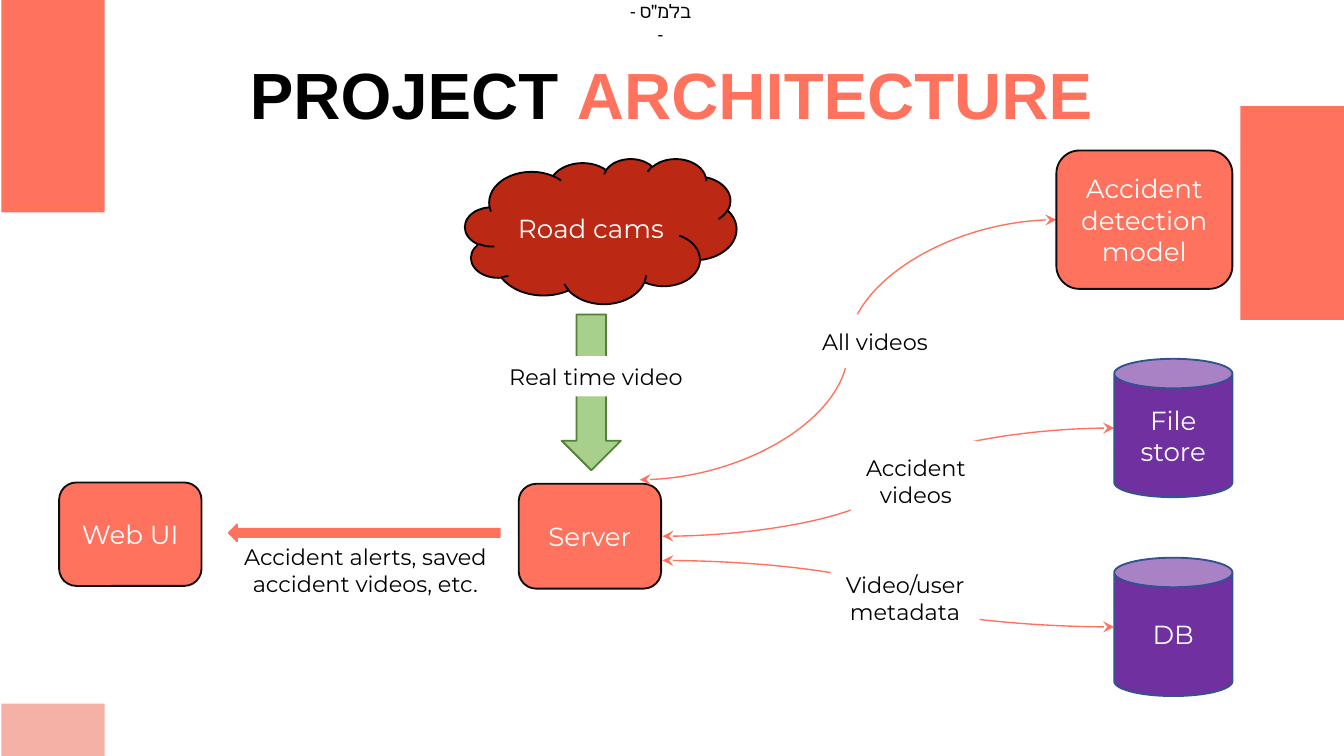
from lxml import etree
from pptx import Presentation
from pptx import util as u
from pptx.dml.color import RGBColor
from pptx.enum import shapes, text
from pptx.oxml.ns import qn

KIND = shapes.MSO_SHAPE
MID = text.MSO_ANCHOR.MIDDLE
TOP = text.MSO_ANCHOR.TOP
CORAL = "FF725E"
WIDE = 10
HIGH = WIDE * 9 / 16


def color(code):
    """Turn a hex string into a colour."""
    return RGBColor.from_string(code)


def write(frame, lines, size, ink, face="Montserrat", anchor=MID, pad=(0.1, 0.05)):
    """Fill a text frame with centred lines in one font."""
    frame.word_wrap = True
    frame.vertical_anchor = anchor
    frame.margin_left = frame.margin_right = u.Inches(pad[0])
    frame.margin_top = frame.margin_bottom = u.Inches(pad[1])
    frame.text = lines
    for para in frame.paragraphs:
        para.alignment = text.PP_ALIGN.CENTER
        para.font.size = u.Pt(size)
        para.font.name = face
        para.font.color.rgb = color(ink)


def shape(slide, kind, box, fill, line=None, width=1):
    """Draw a preset shape in a box."""
    item = slide.shapes.add_shape(kind, *map(u.Inches, box))
    item.shadow.inherit = False
    item.fill.solid()
    item.fill.fore_color.rgb = color(fill)
    if line:
        item.line.color.rgb = color(line)
        item.line.width = u.Pt(width)
    else:
        item.line.fill.background()
    return item


def node(slide, kind, box, label, fill=CORAL, line="0D0D0D"):
    """Draw a labelled part of the system."""
    item = shape(slide, kind, box, fill, line)
    write(item.text_frame, label, 14, "FFFFFF")


def note(slide, box, label, gap=0.05):
    """Draw a white caption that masks what lies behind it."""
    item = shape(slide, KIND.RECTANGLE, box, "FFFFFF")
    write(item.text_frame, label, 12, "000000", anchor=TOP, pad=(0.1, gap))


def link(slide, start, end):
    """Draw a curved arrow with a head at each end."""
    wire = slide.shapes.add_connector(
        shapes.MSO_CONNECTOR.CURVE, *map(u.Inches, (*start, *end)))
    wire.line.color.rgb = color(CORAL)
    wire.line.width = u.Pt(0.75)
    line = wire.line._get_or_add_ln()
    for tag in ("a:headEnd", "a:tailEnd"):
        etree.SubElement(line, qn(tag), type="stealth")
    etree.SubElement(wire._element.spPr, qn("a:effectLst"))


def textbox(slide, box):
    """Add a text box and return its frame."""
    return slide.shapes.add_textbox(*map(u.Inches, box)).text_frame


def decor(slide, x, y, w, h):
    """Place the edge bars and the marking at the top."""
    bar = 0.77
    write(textbox(slide, (x + 4.66, y, 0.51, 0.17)), '- בלמ"ס -', 10,
          "000000", "Calibri", TOP, (0, 0))
    for left, top, tall, fill in (
            (0.01, -0.01, 1.59, CORAL),
            (w - bar, 0.79, 1.59, CORAL),
            (0.01, h - 0.39, 0.39, "F6B1A7")):
        shape(slide, KIND.RECTANGLE, (x + left, y + top, bar, tall), fill)


def title(slide, *box):
    """Write the two-colour heading."""
    frame = textbox(slide, box)
    write(frame, "PROJECT ", 35, "000000", "Arial", pad=(0.1, 0.1))
    para = frame.paragraphs[0]
    para.font.bold = True
    run = para.add_run()
    run.text = "ARCHITECTURE"
    run.font.color.rgb = color(CORAL)


def feed(slide, x, y, w, h):
    """Place the cameras above the server with the video flow between."""
    node(slide, KIND.ROUNDED_RECTANGLE, (x + 0.4, y + h - 0.78, 1.06, 0.78), "Server")
    node(slide, KIND.CLOUD, (x, y, w, 1.08), "Road cams", "BB2813", "000000")
    shape(slide, KIND.DOWN_ARROW, (x + 0.72, y + 1.16, 0.44, 1.16), "A8D08C", "548135")
    note(slide, (x + 0.2, y + 1.47, 1.55, 0.3), "Real time video")


def client(slide, x, y, w, h):
    """Place the web client and the arrow that reaches it."""
    node(slide, KIND.ROUNDED_RECTANGLE, (x, y, 1.06, 0.77), "Web UI")
    note(slide, (x + w - 2.26, y + h - 0.5, 2.26, 0.5),
         "Accident alerts, saved accident videos, etc.")
    arrow = shape(slide, KIND.RIGHT_ARROW, (x + 1.26, y + 0.31, 2.02, 0.13),
                  CORAL, CORAL, 0.75)
    arrow.rotation = 180


def stores(slide, x, y, w, h):
    """Place the model and the stores with their links to the server."""
    tall = 1.03
    can = (KIND.CAN, 0.88, "7030A0", "31538F")
    model = (KIND.ROUNDED_RECTANGLE, 1.31, CORAL, "0D0D0D")
    rows = (
        (model, 0, "Accident detection model", (0, 2.45),
         (1.01, 1.22, 1.48, 0.4), "All videos"),
        (can, 1.55, "File\nstore", (0.17, 2.87),
         (1.57, 2.16, 0.97, 0.61), "Accident videos"),
        (can, h - tall, "DB", (0.17, 3.05),
         (1.42, 3.03, 1.11, 0.61), "Video/user metadata"),
    )
    for (kind, wide, fill, line), top, name, start, mask, label in rows:
        left = x + w - wide
        link(slide, (x + start[0], y + start[1]), (left, y + top + tall / 2))
        node(slide, kind, (left, y + top, wide, tall), name, fill, line)
        note(slide, (x + mask[0], y + mask[1], *mask[2:]), label, 0.1)


def main():
    """Build and save the slide."""
    deck = Presentation()
    deck.slide_width, deck.slide_height = u.Inches(WIDE), u.Inches(HIGH)
    slide = deck.slides.add_slide(deck.slide_layouts[6])
    decor(slide, 0, 0, WIDE, HIGH)
    title(slide, 0.65, 0.45, 8.69, 0.49)
    feed(slide, 3.46, 1.18, 2.02, 3.2)
    client(slide, 0.44, 3.59, 3.41, 0.9)
    stores(slide, 4.76, 1.12, 4.41, 4.06)
    deck.save("out.pptx")


if __name__ == "__main__":
    main()
